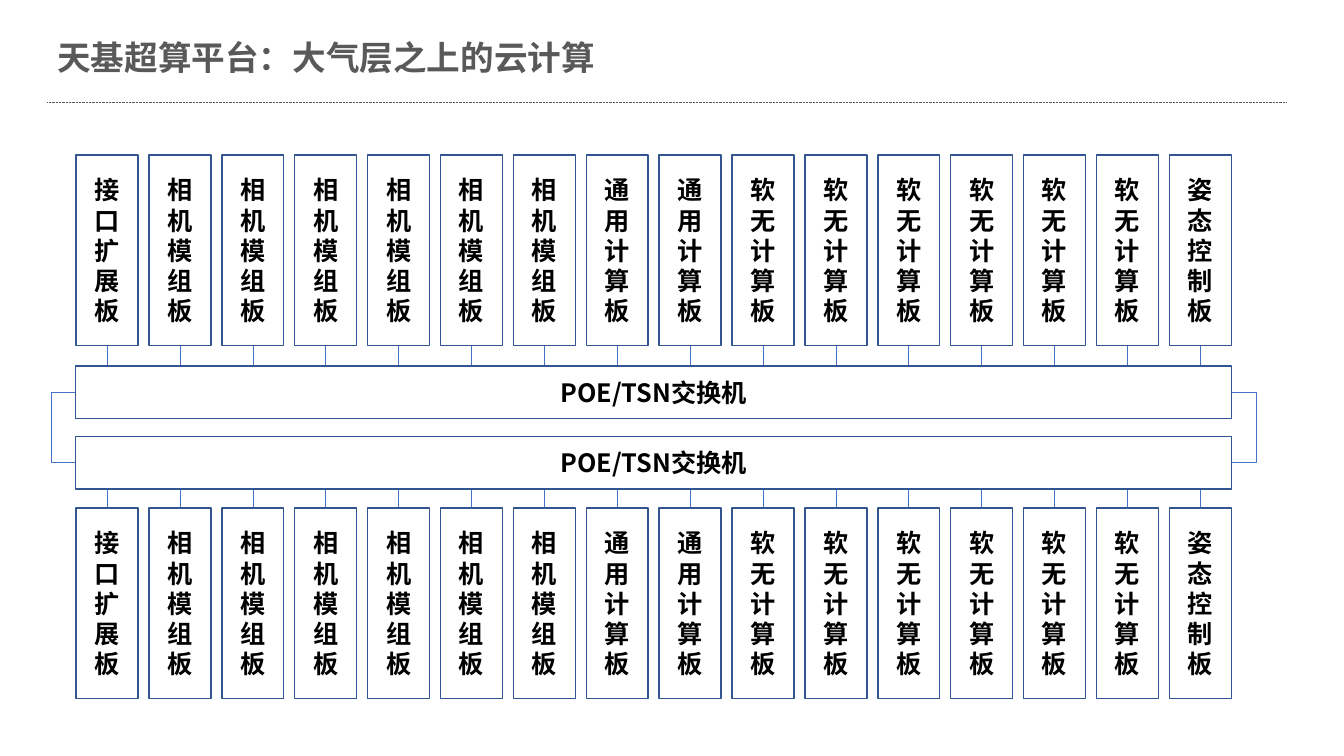
from lxml.etree import SubElement as sub
from pptx import Presentation
from pptx.dml.color import RGBColor
from pptx.enum.dml import MSO_LINE
from pptx.enum.shapes import MSO_CONNECTOR as LINK, MSO_SHAPE
from pptx.enum.text import MSO_ANCHOR, PP_ALIGN
from pptx.oxml.ns import qn
from pptx.util import Cm, Pt

FONT = "Noto Sans CJK SC"
BLUE = "4472C4"


def write(shape, text, size, color, align):
    frame = shape.text_frame
    frame.word_wrap = True
    frame.vertical_anchor = MSO_ANCHOR.MIDDLE
    par = frame.paragraphs[0]
    par.text = text
    par.alignment = align
    font = par.font
    font.size, font.bold, font.name = Pt(size), True, FONT
    font.color.rgb = RGBColor.from_string(color)
    # East Asian text takes its typeface from a:ea
    props = par._p.pPr.find(qn("a:defRPr"))
    sub(props, qn("a:ea"), typeface=FONT)
    return par


def link(kind, x1, y1, x2, y2, color):
    line = slide.shapes.add_connector(kind, Cm(x1), Cm(y1), Cm(x2), Cm(y2))
    line.line.color.rgb = RGBColor.from_string(color)
    line.line.width = Pt(0.5)
    sub(line._element.spPr, qn("a:effectLst"))
    return line


deck = Presentation()
deck.slide_width, deck.slide_height = Cm(33.87), Cm(19.05)
slide = deck.slides.add_slide(deck.slide_layouts[5])

# Title and rule
title = slide.shapes.title
title.left, title.top, title.width, title.height = Cm(1.19), Cm(0.81), Cm(27.03), Cm(1.4)
head = write(title, "天基超算平台：大气层之上的云计算", 24, "595959", PP_ALIGN.LEFT)
head.line_spacing = 0.9
rule = link(LINK.STRAIGHT, 1.19, 2.57, 32.41, 2.57, "595959")
rule.line.dash_style = MSO_LINE.ROUND_DOT

# Links: one stub per board on each side, and a bend at each end
names = ["接口扩展板"] + ["相机模组板"] * 6 + ["通用计算板"] * 2 + ["软无计算板"] * 6 + ["姿态控制板"]
left, right, wide = 1.92, 31.03, 1.56
step = (right - left - wide) / (len(names) - 1)
for top, end in [(8.71, 10.11), (11.51, 12.9)]:
    for i in range(len(names)):
        mid = left + i * step + wide / 2
        link(LINK.STRAIGHT, mid, top, mid, end, BLUE)
for x1, x2 in [(1.93, 1.91), (31.04, 31.06)]:
    bend = link(LINK.ELBOW, x1, 9.88, x2, 11.66, BLUE)
    guides = bend._element.spPr.find(qn("a:prstGeom")).get_or_add_avLst()
    sub(guides, qn("a:gd"), name="adj1", fmla="val 3150000")

# Switches and the two rows of boards
boxes = [("POE/TSN交换机", 1.91, y, 29.13, 1.32) for y in (9.22, 11.0)]
boxes += [(name, left + i * step, y, wide, 4.8)
          for y in (3.91, 12.8) for i, name in enumerate(names)]
for name, x, y, w, h in boxes:
    box = slide.shapes.add_shape(MSO_SHAPE.RECTANGLE, Cm(x), Cm(y), Cm(w), Cm(h))
    box.shadow.inherit = False
    if y < 9:
        box.fill.background()
    else:
        box.fill.solid()
        box.fill.fore_color.rgb = RGBColor.from_string("FFFFFF")
    box.line.color.rgb = RGBColor.from_string("325491")
    box.line.width = Pt(1)
    write(box, name, 18, "000000", PP_ALIGN.CENTER)

deck.save("out.pptx")
